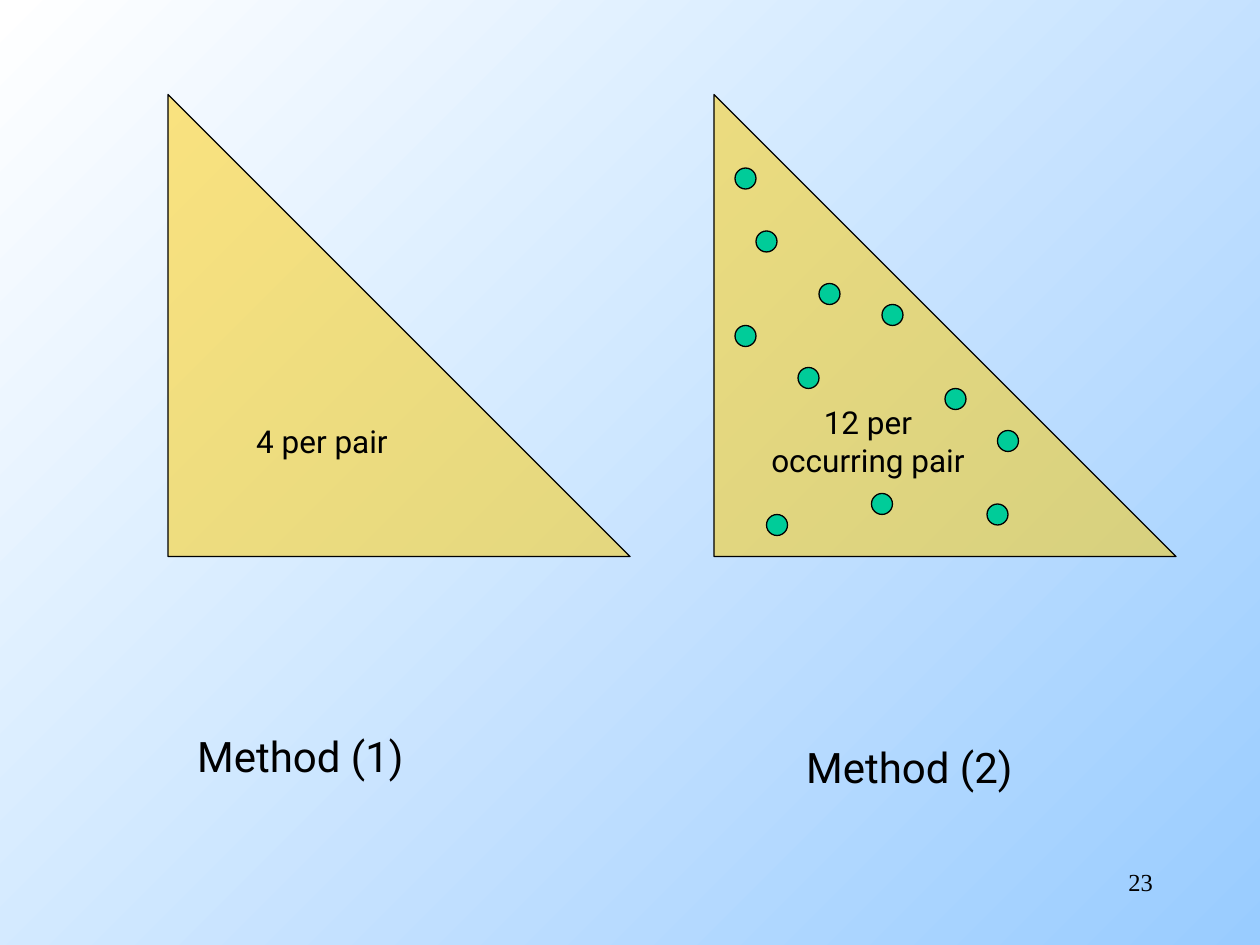
from pptx import Presentation
from pptx.dml.color import RGBColor
from pptx.enum.shapes import MSO_SHAPE as Kind
from pptx.enum.text import MSO_ANCHOR as Anchor, MSO_AUTO_SIZE as Fit, PP_ALIGN as Align
from pptx.oxml.ns import qn
from pptx.util import Inches, Pt
from lxml.etree import SubElement

CELL = 1 / 12  # inches per grid step


def tint(code):
    """Turn a hex string into a colour."""
    return RGBColor.from_string(code)


def grid(*steps):
    """Turn grid steps into lengths."""
    return [Inches(step * CELL) for step in steps]


def write(frame, text, size=18, font="Roboto", color="000000",
          align=Align.LEFT, anchor=Anchor.TOP, wrap=False):
    """Fill a text frame, one paragraph per line."""
    frame.word_wrap = wrap
    frame.vertical_anchor = anchor
    for i, line in enumerate(text.split("\n")):
        para = frame.add_paragraph() if i else frame.paragraphs[0]
        para.alignment = align
        run = para.add_run()
        run.text = line
        run.font.size = Pt(size)
        run.font.name = font
        run.font.color.rgb = tint(color)


class Page:
    """Hold the style and the current slide."""
    ink, gold, green = "000000", "FFCC00", "00CC99"
    sky = ("FFFFFF", "99CCFF")

    def __init__(self, deck):
        """Add a blank slide with a diagonal gradient."""
        self.slide = deck.slides.add_slide(deck.slide_layouts[6])
        self.shapes = self.slide.shapes
        fill = self.slide.background.fill
        fill.gradient()
        fill.gradient_angle = 315
        for place, (stop, code) in enumerate(zip(fill.gradient_stops, self.sky)):
            stop.position = place
            stop.color.rgb = tint(code)

    def shape(self, kind, box, fill):
        """Add an outlined shape."""
        item = self.shapes.add_shape(kind, *grid(*box))
        item.shadow.inherit = False
        item.fill.solid()
        item.fill.fore_color.rgb = tint(fill)
        item.line.color.rgb = tint(self.ink)
        item.line.width = Pt(0.74)
        return item

    def wedge(self, left, text):
        """Add a half-clear right triangle with its cost."""
        item = self.shape(Kind.RIGHT_TRIANGLE, (left, 9, 44, 44), self.gold)
        color = item.fill._xPr.find(qn("a:solidFill"))[0]
        SubElement(color, qn("a:alpha"), val="50000")
        write(item.text_frame, text, align=Align.CENTER, anchor=Anchor.MIDDLE)

    def dot(self, left, top):
        """Add a dot for one occurring pair."""
        self.shape(Kind.OVAL, (left, top, 2, 2), self.green)

    def label(self, box, text, fit=Fit.NONE, **style):
        """Add a text box."""
        frame = self.shapes.add_textbox(*grid(*box)).text_frame
        write(frame, text, **style)
        frame.auto_size = fit


DOTS = [(95, 41), (83, 47), (84, 29), (72, 22), (90, 37), (94, 48),
        (73, 49), (76, 35), (78, 27), (70, 16), (70, 31)]

deck = Presentation()
deck.slide_width, deck.slide_height = grid(120, 90)
page = Page(deck)
page.label((86, 82, 25, 6), "23", size=14, font="Times New Roman",
           align=Align.RIGHT, wrap=True)
page.wedge(16, "4 per pair")
for left, top, name in [(17.6, 69, "Method (1)"), (75.6, 70, "Method (2)")]:
    page.label((left, top, 22.8, 6), name, fit=Fit.SHAPE_TO_FIT_TEXT, size=24)
page.wedge(68, "12 per\noccurring pair")
for spot in DOTS:
    page.dot(*spot)
deck.save("out.pptx")
